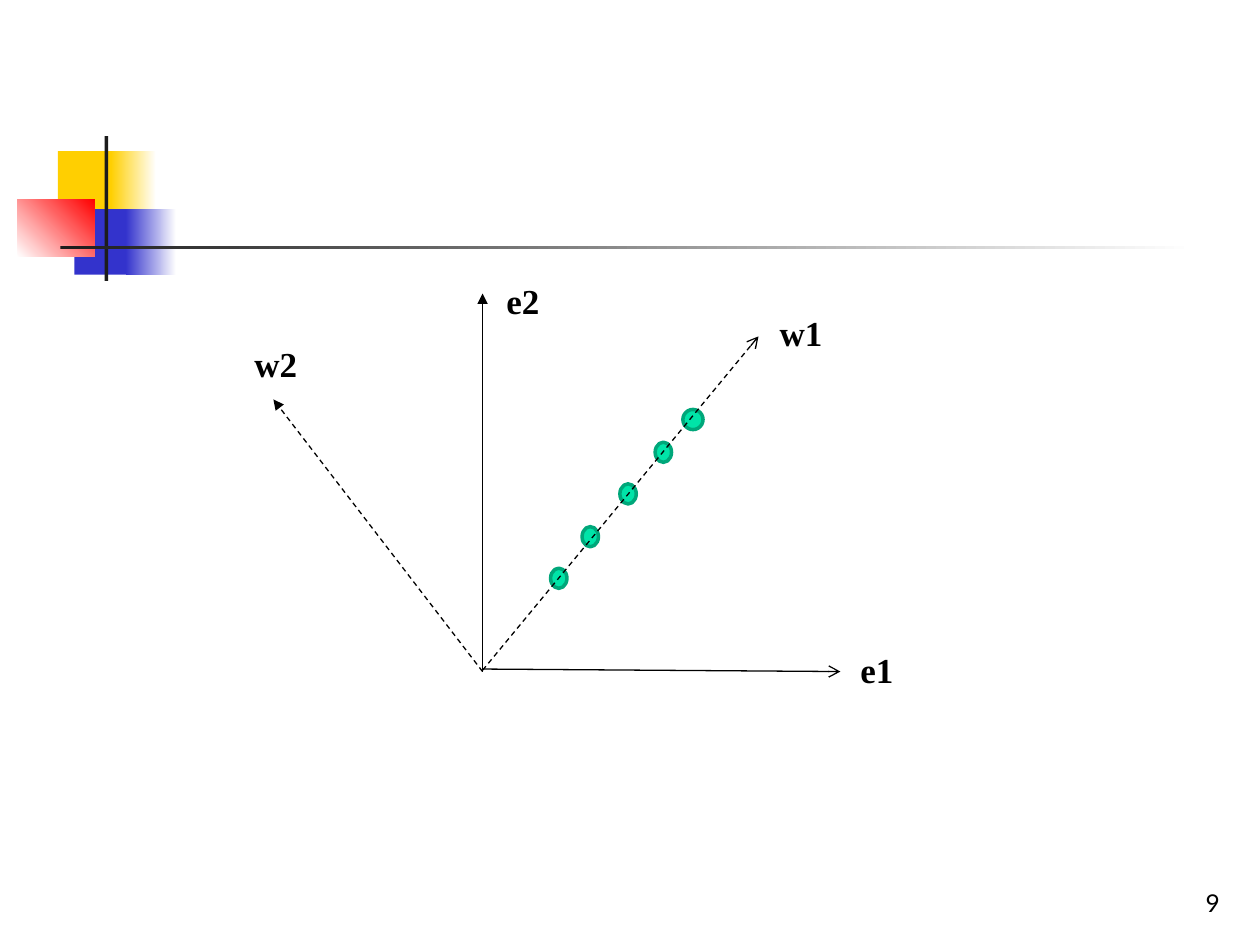
from dataclasses import dataclass

from lxml import etree
from pptx import Presentation
from pptx import util as u
from pptx.dml.color import RGBColor
from pptx.enum import dml, shapes, text
from pptx.oxml.ns import qn


@dataclass(frozen=True)
class Theme:
    """Colours, fonts and sizes of the slide."""
    white: str = "FFFFFF"
    black: str = "000000"
    dark: str = "1C1C1C"
    yellow: str = "FFCF01"
    blue: str = "3333CC"
    red: str = "FF0000"
    dot: str = "00E4A8"
    dot_edge: str = "00A77A"
    label_font: str = "Times New Roman"
    number_font: str = "Lato"
    label_size: int = 20
    number_size: int = 14
    line_width: float = 0.75
    edge_width: float = 2


class Canvas:
    """Draws styled elements on the current slide."""

    def __init__(self, slide, theme):
        """Keep the slide and its theme."""
        self.slide = slide
        self.theme = theme

    def shape(self, kind, box, color):
        """Add a plain filled shape without outline."""
        sp = self.slide.shapes.add_shape(kind, *map(u.Inches, box))
        sp.shadow.inherit = False
        sp.fill.solid()
        sp.fill.fore_color.rgb = RGBColor.from_string(color)
        sp.line.fill.background()
        return sp

    def block(self, box, color, end=None, angle=0):
        """Add a rectangle, fading to a second colour if one is given."""
        sp = self.shape(shapes.MSO_SHAPE.RECTANGLE, box, color)
        if end:
            sp.fill.gradient()
            sp.fill.gradient_angle = angle
            for stop, value in zip(sp.fill.gradient_stops, (color, end)):
                stop.color.rgb = RGBColor.from_string(value)

    def dot(self, left, top, width=0.13):
        """Add a data point."""
        sp = self.shape(shapes.MSO_SHAPE.OVAL, (left, top, width, 0.16), self.theme.dot)
        sp.line.color.rgb = RGBColor.from_string(self.theme.dot_edge)
        sp.line.width = u.Pt(self.theme.edge_width)

    def arrow(self, start, end, head, dashed=False):
        """Add an axis with an arrowhead at its end."""
        cx = self.slide.shapes.add_connector(
            shapes.MSO_CONNECTOR.STRAIGHT, *map(u.Inches, start + end))
        cx.line.color.rgb = RGBColor.from_string(self.theme.black)
        cx.line.width = u.Pt(self.theme.line_width)
        if dashed:
            cx.line.dash_style = dml.MSO_LINE.DASH
        etree.SubElement(cx.line._get_or_add_ln(), qn("a:tailEnd"), type=head)
        etree.SubElement(cx._element.spPr, qn("a:effectLst"))

    def text(self, words, box, font, size, bold=False):
        """Add a text box and return it."""
        sp = self.slide.shapes.add_textbox(*map(u.Inches, box))
        tf = sp.text_frame
        tf.text = words
        r = tf.paragraphs[0].runs[0]
        r.font.name = font
        r.font.size = u.Pt(size)
        r.font.bold = bold
        r.font.color.rgb = RGBColor.from_string(self.theme.black)
        return sp

    def label(self, words, left, top, width):
        """Add a bold axis label."""
        sp = self.text(words, (left, top, width, 0.44), self.theme.label_font,
                       self.theme.label_size, bold=True)
        sp.text_frame.word_wrap = False
        sp.text_frame.auto_size = text.MSO_AUTO_SIZE.SHAPE_TO_FIT_TEXT

    def number(self, words):
        """Add the slide number."""
        sp = self.text(words, (7.7, 6.83, 2.08, 0.5), self.theme.number_font,
                       self.theme.number_size)
        tf = sp.text_frame
        tf.word_wrap = True
        tf.vertical_anchor = text.MSO_ANCHOR.BOTTOM
        tf.paragraphs[0].alignment = text.PP_ALIGN.RIGHT


def main():
    """Build the slide and save it."""
    prs = Presentation()
    prs.slide_width, prs.slide_height = u.Inches(10), u.Inches(7.5)
    t = Theme()
    s = Canvas(prs.slides.add_slide(prs.slide_layouts[6]), t)

    s.block((0.46, 1.2, 0.48, 0.52), t.yellow)
    s.block((0.88, 1.2, 0.36, 0.52), t.yellow, t.white)
    s.block((0.59, 1.66, 0.46, 0.52), t.blue)
    s.block((1, 1.66, 0.4, 0.52), t.blue, t.white)
    s.block((0.14, 1.58, 0.61, 0.46), t.white, t.red, angle=45)
    s.block((0.83, 1.08, 0.03, 1.15), t.dark)
    s.block((0.48, 1.95, 9, 0.03), t.dark, t.white)
    s.number("9")

    s.arrow((3.83, 5.31), (6.67, 5.33), "arrow")
    for left, top in ((4.37, 4.51), (4.62, 4.18), (4.92, 3.84), (5.2, 3.51)):
        s.dot(left, top)
    s.dot(5.42, 3.25, width=0.16)
    s.arrow((3.83, 5.32), (6.02, 2.67), "arrow", dashed=True)
    s.arrow((3.83, 5.33), (3.83, 2.33), "triangle")
    s.arrow((3.83, 5.33), (2.17, 3.17), "triangle", dashed=True)

    for words, left, top, width in (("e1", 6.73, 5.1, 0.46), ("e2", 3.92, 2.17, 0.46),
                                    ("w1", 6.09, 2.42, 0.54), ("w2", 1.92, 2.67, 0.54)):
        s.label(words, left, top, width)
    prs.save("out.pptx")


if __name__ == "__main__":
    main()
